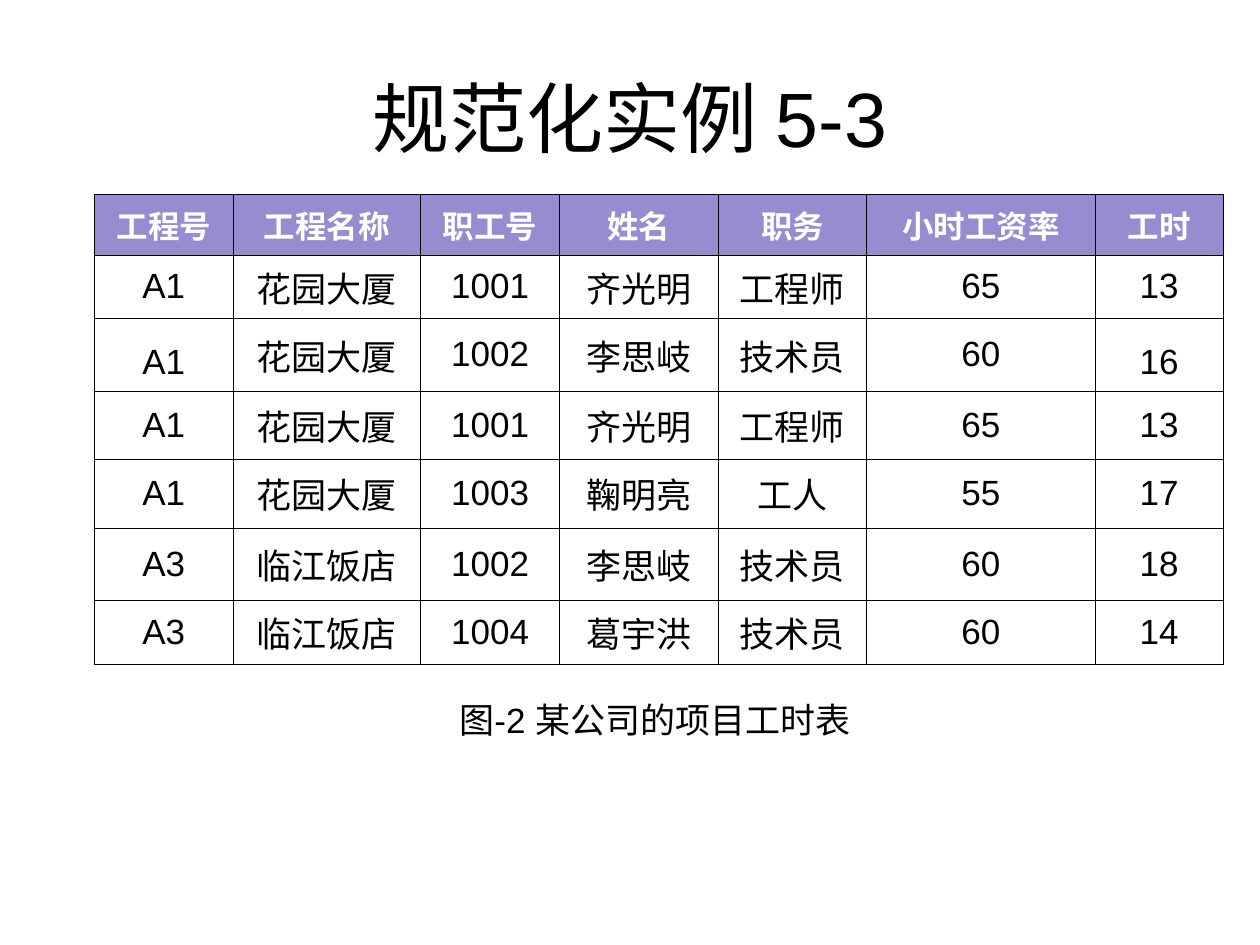
import pptx
import pptx.dml.color
import pptx.enum.text
import pptx.oxml
import pptx.oxml.ns
import pptx.util

COLORS = {"text": "000000", "header_text": "FFFFFF", "header_fill": "958DCF", "border": "000000"}
LATIN_FONT = "Arial"
CHINESE_FONT = "Noto Sans CJK SC"
BORDER_POINTS = 0.45
COLUMN_PERCENTS = [11, 14.9, 11, 12.6, 11.8, 18.1, 10.2]
ROW_PERCENTS = [6.4, 6.7, 7.7, 7.2, 7.3, 7.6, 6.8]
TIMESHEET = [
    ["工程号", "工程名称", "职工号", "姓名", "职务", "小时工资率", "工时"],
    ["A1", "花园大厦", "1001", "齐光明", "工程师", "65", "13"],
    ["A1", "花园大厦", "1002", "李思岐", "技术员", "60", "16"],
    ["A1", "花园大厦", "1001", "齐光明", "工程师", "65", "13"],
    ["A1", "花园大厦", "1003", "鞠明亮", "工人", "55", "17"],
    ["A3", "临江饭店", "1002", "李思岐", "技术员", "60", "18"],
    ["A3", "临江饭店", "1004", "葛宇洪", "技术员", "60", "14"],
]
LOOSE_CELLS = [(2, 0), (2, 6)]


def write_centred(text_frame, text, size, color, font_name=LATIN_FONT, bold=False):
    paragraph = text_frame.paragraphs[0]
    paragraph.text = text
    paragraph.alignment = pptx.enum.text.PP_ALIGN.CENTER
    font = paragraph.font
    font.size = pptx.util.Pt(size)
    font.bold = bold
    font.name = font_name
    font.color.rgb = pptx.dml.color.RGBColor.from_string(COLORS[color])
    east_asian = pptx.oxml.parse_xml(
        f'<a:ea {pptx.oxml.ns.nsdecls("a")} typeface="{CHINESE_FONT}"/>')
    paragraph._p.pPr.find(pptx.oxml.ns.qn("a:defRPr")).append(east_asian)
    return paragraph


def add_borders(cell):
    """Line all four sides; call before the cell gets its fill, which must come later in the XML."""
    for side in "LRTB":
        cell._tc.get_or_add_tcPr().append(pptx.oxml.parse_xml(
            f'<a:ln{side} {pptx.oxml.ns.nsdecls("a")} w="{pptx.util.Pt(BORDER_POINTS)}">'
            f'<a:solidFill><a:srgbClr val="{COLORS["border"]}"/></a:solidFill></a:ln{side}>'))


presentation = pptx.Presentation()
presentation.slide_width = pptx.util.Inches(10)
presentation.slide_height = pptx.util.Inches(7.5)
slide = presentation.slides.add_slide(presentation.slide_layouts[6])
across = presentation.slide_width / 100
down = presentation.slide_height / 100

# Title
title = slide.shapes.add_textbox(int(5 * across), int(4 * down), int(90 * across), int(16.67 * down))
title.text_frame.word_wrap = True
title.text_frame.vertical_anchor = pptx.enum.text.MSO_ANCHOR.MIDDLE
write_centred(title.text_frame, "规范化实例 5-3", 44, "text")

# Timesheet table
table = slide.shapes.add_table(
    len(ROW_PERCENTS), len(COLUMN_PERCENTS), int(7.5 * across), int(20.6 * down),
    int(sum(COLUMN_PERCENTS) * across), int(sum(ROW_PERCENTS) * down)).table
for column, percent in zip(table.columns, COLUMN_PERCENTS):
    column.width = int(percent * across)
for row, percent in zip(table.rows, ROW_PERCENTS):
    row.height = int(percent * down)

for row_index, values in enumerate(TIMESHEET):
    for column_index, value in enumerate(values):
        cell = table.cell(row_index, column_index)
        cell.vertical_anchor = pptx.enum.text.MSO_ANCHOR.MIDDLE
        add_borders(cell)
        if row_index == 0:
            cell.fill.solid()
            cell.fill.fore_color.rgb = pptx.dml.color.RGBColor.from_string(COLORS["header_fill"])
            write_centred(cell.text_frame, value, 18, "header_text", CHINESE_FONT, bold=True)
        else:
            cell.fill.background()
            paragraph = write_centred(cell.text_frame, value, 20, "text")
            if (row_index, column_index) in LOOSE_CELLS:
                paragraph.line_spacing = 1.4

# Caption
caption = slide.shapes.add_textbox(
    int(33.5 * across), int(74.13 * down), int(37 * across), int(4.93 * down))
caption.text_frame.word_wrap = True
caption.text_frame.auto_size = pptx.enum.text.MSO_AUTO_SIZE.SHAPE_TO_FIT_TEXT
write_centred(caption.text_frame, "图-2 某公司的项目工时表", 20, "text").line_spacing = 0.8

presentation.save("out.pptx")
